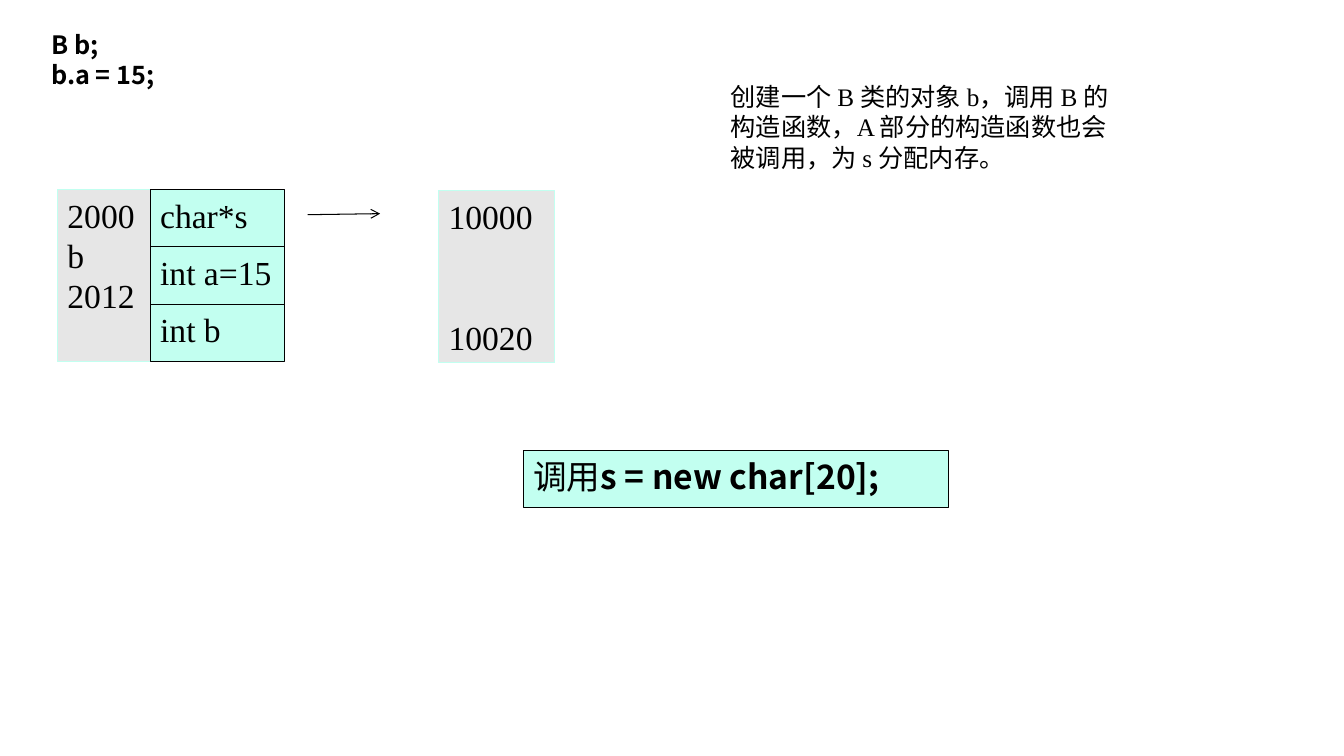
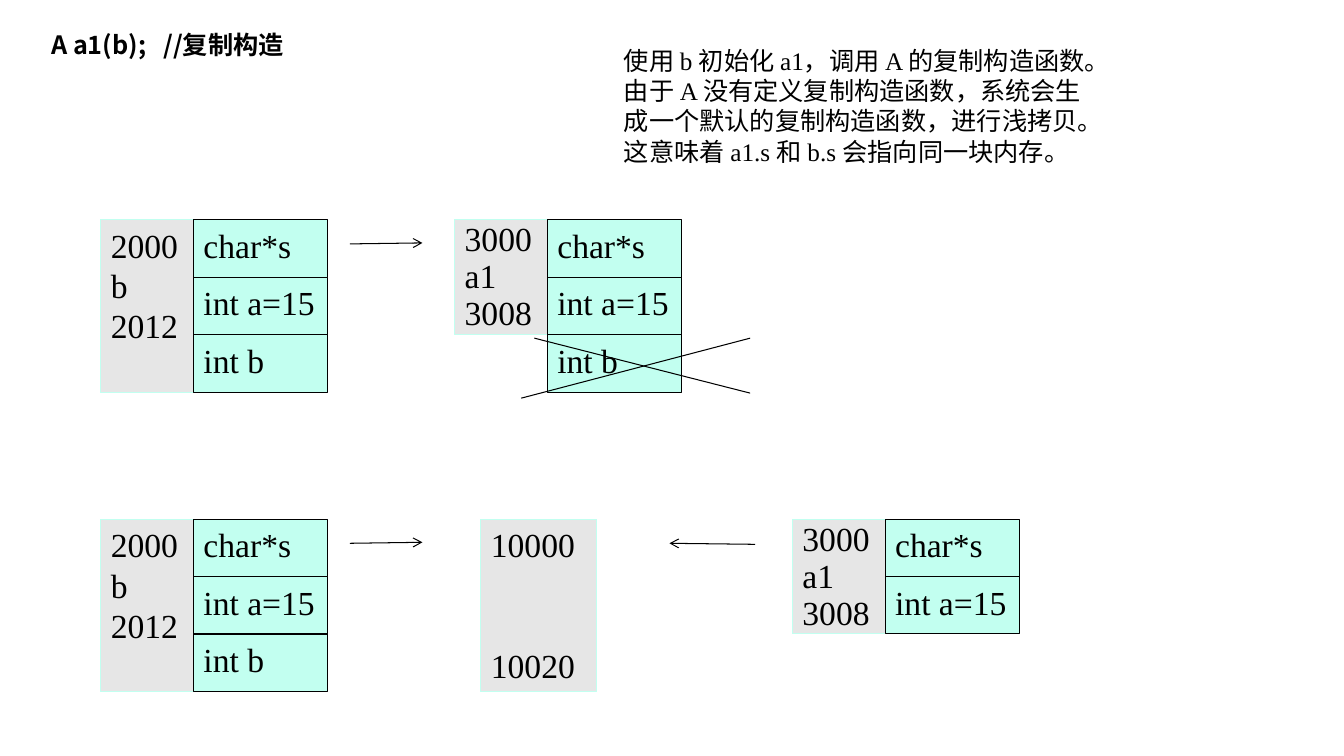
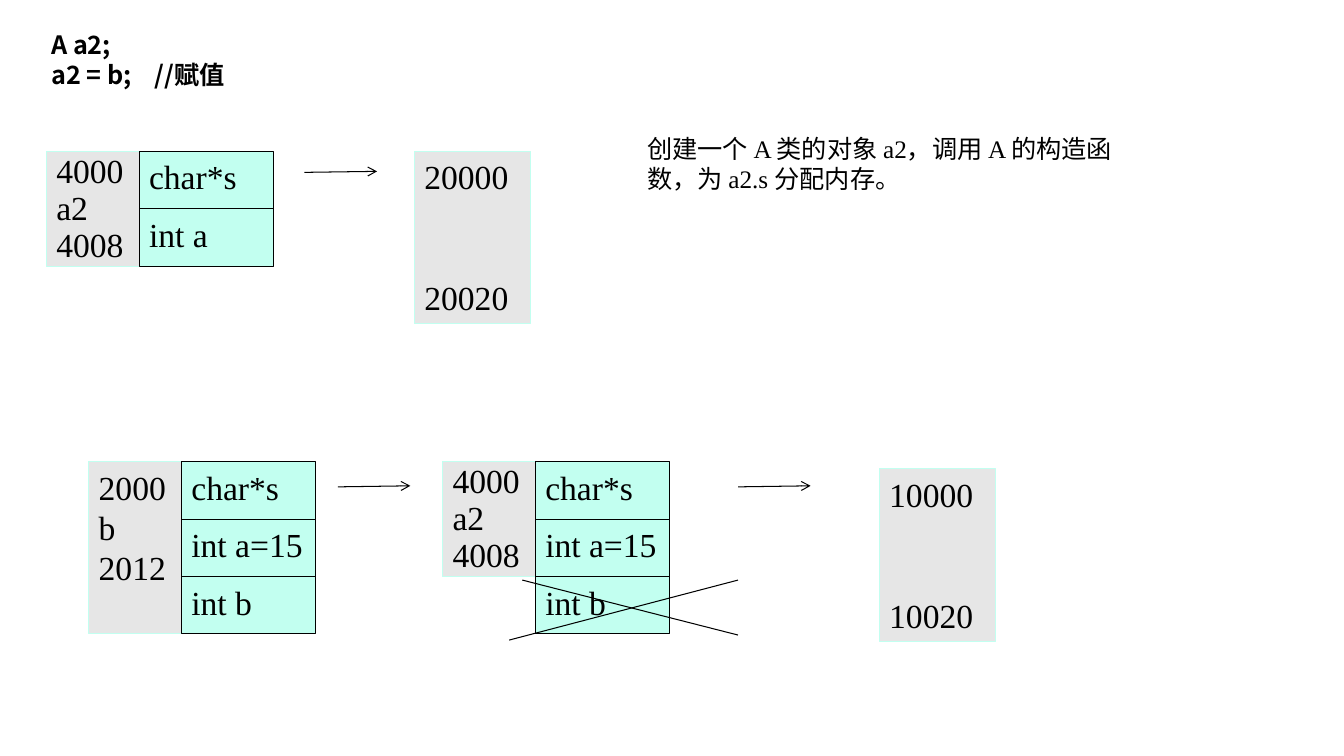
from dataclasses import dataclass
from typing import Optional, Union

from lxml import etree
from pptx import Presentation, util as u
from pptx.dml.color import RGBColor
from pptx.enum import shapes, text
from pptx.oxml import ns

CELL = 0.1  # inches in one column or row of the layout grid
Point = tuple[float, float]


@dataclass(frozen=True)
class Theme:
    ink: str = "000000"
    mint: str = "C2FFF0"
    gray: str = "E6E6E6"
    body_font: str = "Times New Roman"
    code_font: str = "Noto Sans CJK SC"
    note_size: float = 18
    label_size: float = 24
    line_width: float = 0.75
    leading: float = 1.2
    tight_leading: float = 1.1
    tight_margin: float = 0.2
    field_height: float = 5.7
    address_width: float = 9.2
    field_width: float = 13.3
    memory_width: float = 11.5


THEME = Theme()


@dataclass(frozen=True)
class Note:
    at: Point
    width: float
    height: float
    lines: tuple[str, ...]
    code: bool = False


@dataclass(frozen=True)
class ObjectLayout:
    """An object's addresses beside its fields; a sliced field is crossed out."""
    at: Point
    addresses: tuple[str, ...]
    fields: tuple[str, ...]
    sliced: Optional[str] = None


@dataclass(frozen=True)
class Memory:
    at: Point
    first: str
    last: str


@dataclass(frozen=True)
class Arrow:
    start: Point
    run: float = 7.2


@dataclass(frozen=True)
class Call:
    at: Point
    width: float
    verb: str
    code: str


Item = Union[Note, ObjectLayout, Memory, Arrow, Call]


def grid(*cells: float) -> list[int]:
    return [u.Inches(cell * CELL) for cell in cells]


def write(frame, content: str, *, size: float = THEME.label_size,
          font: str = THEME.body_font, bold: bool = False,
          leading: float = THEME.leading, same_line: bool = False,
          gap_lines: int = 0) -> None:
    """Add text to a frame, as a new paragraph unless same_line is set."""
    frame.word_wrap = True
    line = frame.paragraphs[-1]
    if line.runs and not same_line:
        line = frame.add_paragraph()
    line.alignment = text.PP_ALIGN.LEFT
    line.line_spacing = u.Pt(size * leading)
    if gap_lines:
        line.space_before = u.Pt(gap_lines * size * leading)
    run = line.add_run()
    run.text = content
    run.font.size = u.Pt(size)
    run.font.name = font
    run.font.bold = bold
    run.font.color.rgb = RGBColor.from_string(THEME.ink)
    latin = run.font._element.find(ns.qn("a:latin"))
    east_asian = etree.Element(ns.qn("a:ea"), typeface=THEME.code_font)
    latin.addnext(east_asian)


def add_box(slide, at: Point, width: float, height: float, *, fill: str, line: str):
    box = slide.shapes.add_shape(shapes.MSO_SHAPE.RECTANGLE, *grid(*at, width, height))
    box.shadow.inherit = False
    box.fill.solid()
    box.fill.fore_color.rgb = RGBColor.from_string(fill)
    box.line.color.rgb = RGBColor.from_string(line)
    box.line.width = u.Pt(THEME.line_width)
    box.text_frame.vertical_anchor = text.MSO_ANCHOR.TOP
    return box.text_frame


def add_line(slide, start: Point, end: Point, *, arrow: bool = False) -> None:
    line = slide.shapes.add_connector(shapes.MSO_CONNECTOR.STRAIGHT, *grid(*start, *end))
    line.line.color.rgb = RGBColor.from_string(THEME.ink)
    line.line.width = u.Pt(THEME.line_width)
    if arrow:
        etree.SubElement(line.line._get_or_add_ln(), ns.qn("a:tailEnd"), type="arrow")
    etree.SubElement(line._element.spPr, ns.qn("a:effectLst"))


def draw_note(slide, note: Note) -> None:
    frame = slide.shapes.add_textbox(*grid(*note.at, note.width, note.height)).text_frame
    for line in note.lines:
        write(frame, line, size=THEME.note_size, bold=note.code,
              font=THEME.code_font if note.code else THEME.body_font)


def draw_addresses(slide, layout: ObjectLayout) -> None:
    """Label the object's memory, set tighter when lines outnumber fields."""
    frame = add_box(slide, layout.at, THEME.address_width,
                    len(layout.fields) * THEME.field_height,
                    fill=THEME.gray, line=THEME.mint)
    leading = THEME.leading
    if len(layout.addresses) > len(layout.fields):
        leading = THEME.tight_leading
        frame.margin_top, frame.margin_bottom = grid(THEME.tight_margin, 0)
    for address in layout.addresses:
        write(frame, address, leading=leading)


def draw_object(slide, layout: ObjectLayout) -> None:
    left, top = layout.at
    draw_addresses(slide, layout)
    sliced = (layout.sliced,) if layout.sliced else ()
    for row, field in enumerate(layout.fields + sliced):
        at = (left + THEME.address_width, top + row * THEME.field_height)
        write(add_box(slide, at, THEME.field_width, THEME.field_height,
                      fill=THEME.mint, line=THEME.ink), field)
    if sliced:
        right, upper = left + 29.3, top + 11.75
        add_line(slide, (left + 7.9, upper), (right, top + 17.2))
        add_line(slide, (left + 6.6, top + 17.7), (right, upper))


def draw_memory(slide, memory: Memory) -> None:
    frame = add_box(slide, memory.at, THEME.memory_width, 3 * THEME.field_height,
                    fill=THEME.gray, line=THEME.mint)
    write(frame, memory.first)
    write(frame, memory.last, gap_lines=2)


def draw_arrow(slide, arrow: Arrow) -> None:
    x, y = arrow.start
    add_line(slide, arrow.start, (x + arrow.run, y - 0.1), arrow=True)


def draw_call(slide, call: Call) -> None:
    frame = add_box(slide, call.at, call.width, THEME.field_height,
                    fill=THEME.mint, line=THEME.ink)
    write(frame, call.verb)
    write(frame, call.code, font=THEME.code_font, bold=True, same_line=True)


DRAW = {Note: draw_note, ObjectLayout: draw_object, Memory: draw_memory,
        Arrow: draw_arrow, Call: draw_call}


def statement(*lines: str) -> Note:
    return Note((4.1, 2.4), 44.4, 1 + 3 * len(lines), lines, code=True)


def object_b(at: Point) -> ObjectLayout:
    return ObjectLayout(at, ("2000", "b", "2012"), ("char*s", "int a=15", "int b"))


def object_a(at: Point, name: str, first: str, last: str, value: str = "int a=15",
             sliced: Optional[str] = None) -> ObjectLayout:
    return ObjectLayout(at, (first, name, last), ("char*s", value), sliced)


SLIDES: list[list[Item]] = [
    [
        statement("B b;", "b.a = 15;"),
        Note((71.5, 7.6), 41, 10.1,
             ("创建一个 B 类的对象 b，调用 B 的构造函数，A 部分的构造函数也会被调用，为 s 分配内存。",)),
        object_b((5.7, 18.8)),
        Arrow((30.5, 21.3)),
        Memory((43.5, 18.9), "10000", "10020"),
        Call((51.9, 44.7), 42.2, "调用", "s = new char[20];"),
    ],
    [
        statement("A a1(b);   //复制构造"),
        Note((60.9, 4), 49.6, 15.5,
             ("使用 b 初始化 a1，调用 A 的复制构造函数。由于 A 没有定义复制构造函数，"
              "系统会生成一个默认的复制构造函数，进行浅拷贝。"
              "这意味着 a1.s 和 b.s 会指向同一块内存。",)),
        object_b((10, 21.8)),
        Arrow((34.7, 24.2)),
        object_a((45.1, 21.8), "a1", "3000", "3008", sliced="int b"),
        object_b((10, 51.5)),
        Arrow((34.7, 53.9)),
        Memory((47.7, 51.5), "10000", "10020"),
        Arrow((74.9, 54), run=-8.5),
        object_a((78.6, 51.5), "a1", "3000", "3008"),
    ],
    [
        statement("A a2;", "a2 = b;    //赋值"),
        Note((63.2, 12.7), 49.6, 7.9,
             ("创建一个 A 类的对象 a2，调用 A 的构造函数，为 a2.s 分配内存。",)),
        object_a((4.6, 15), "a2", "4000", "4008", value="int a"),
        Arrow((30.2, 17.1)),
        Memory((41.1, 15), "20000", "20020"),
        object_b((8.8, 45.8)),
        Arrow((33.5, 48.3)),
        object_a((43.9, 45.8), "a2", "4000", "4008", sliced="int b"),
        Arrow((73.2, 48.3)),
        Memory((87.2, 46.5), "10000", "10020"),
    ],
]


def main() -> None:
    deck = Presentation()
    deck.slide_width, deck.slide_height = u.Inches(13.33), u.Inches(7.5)
    blank = deck.slide_layouts[6]
    for items in SLIDES:
        slide = deck.slides.add_slide(blank)
        for item in items:
            DRAW[type(item)](slide, item)
    deck.save("out.pptx")


if __name__ == "__main__":
    main()
